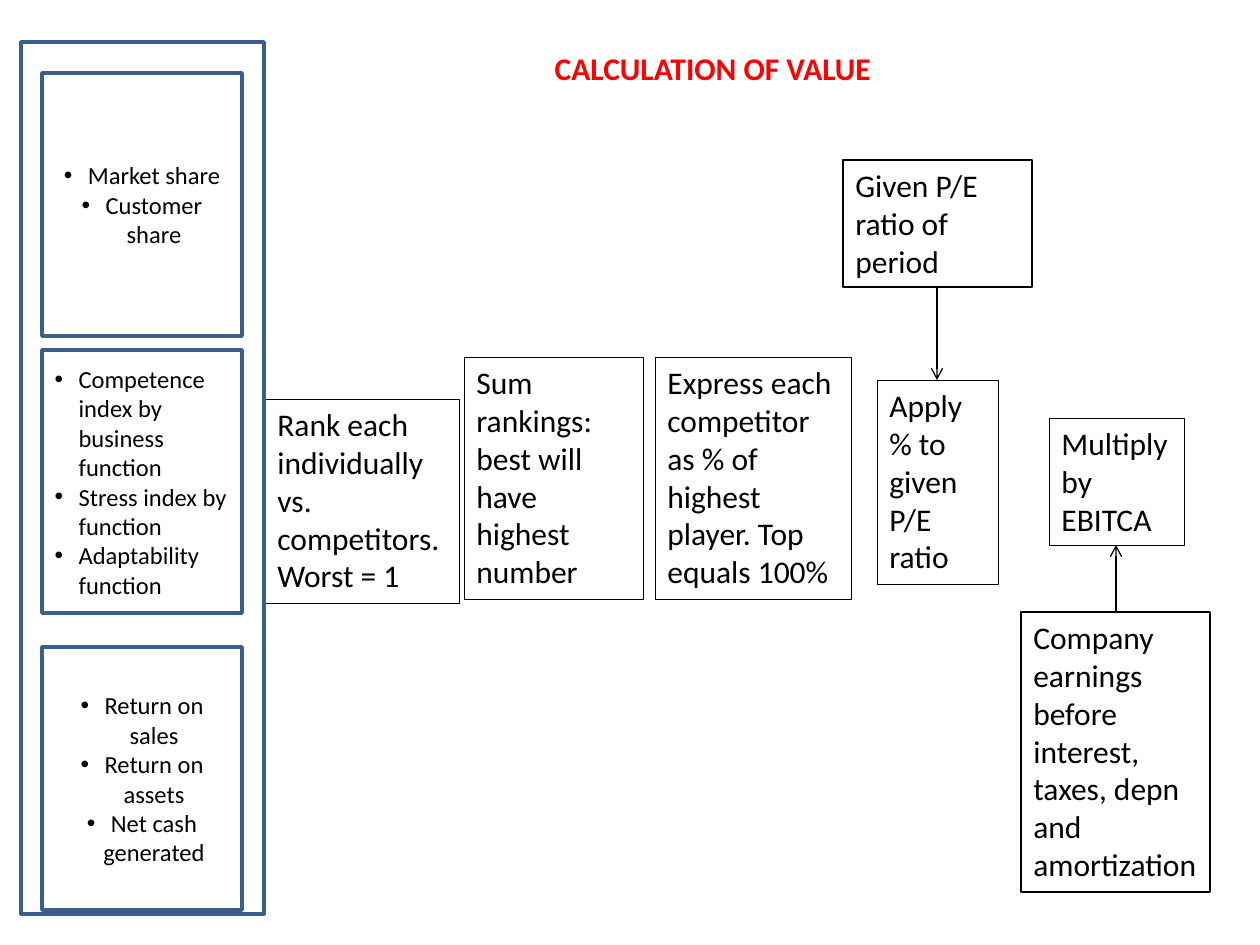
import pptx
import pptx.util
import pptx.dml.color
import pptx.enum.shapes
import pptx.enum.text
import pptx.oxml.ns
import lxml.etree
from dataclasses import dataclass

RGB = pptx.dml.color.RGBColor
Pt = pptx.util.Pt
Align = pptx.enum.text.PP_ALIGN
Anchor = pptx.enum.text.MSO_ANCHOR
Size = pptx.enum.text.MSO_AUTO_SIZE
qn = pptx.oxml.ns.qn
SCALE = 914400 / 126


def px(n):
    return round(n * SCALE)


@dataclass
class Theme:
    face: str = "Calibri"
    ink: RGB = RGB(0, 0, 0)
    blue: RGB = RGB(0x3A, 0x5F, 0x8C)
    red: RGB = RGB(0xFF, 0, 0)
    small: int = 14
    large: int = 18
    thick: float = 2
    thin: float = 0.75
    hair: float = 0.25


class Deck:
    def __init__(self, show, theme):
        self.theme = theme
        self.slide = show.slides.add_slide(show.slide_layouts[4])

    def place(self, item, x, y, w, h):
        item.left, item.top, item.width, item.height = px(x), px(y), px(w), px(h)

    def edge(self, item, color, width):
        item.line.color.rgb = color
        item.line.width = Pt(width)

    def font(self, para, size, color, bold=False):
        font = para.font
        font.name, font.size, font.bold = self.theme.face, Pt(size), bold
        font.color.rgb = color

    def title(self, text, *area):
        item = self.slide.shapes.title
        self.place(item, *area)
        frame = item.text_frame
        frame.text = text
        frame.word_wrap = False
        frame.auto_size = Size.SHAPE_TO_FIT_TEXT
        frame.vertical_anchor = Anchor.TOP
        para = frame.paragraphs[0]
        para.alignment = Align.LEFT
        self.font(para, self.theme.large, self.theme.red, True)

    def bullets(self, item, lines, align, *area):
        self.place(item, *area)
        self.edge(item, self.theme.blue, self.theme.thick)
        frame = item.text_frame
        frame.text = "\n".join(lines)
        frame.word_wrap = True
        frame.auto_size = Size.NONE
        frame.vertical_anchor = Anchor.MIDDLE
        for para in frame.paragraphs:
            para.alignment = align
            para.space_before = Pt(0)
            self.font(para, self.theme.small, self.theme.ink)
            props = para._p.get_or_add_pPr()
            props.set("marL", str(px(24)))
            props.set("indent", str(-px(24)))
            face = lxml.etree.SubElement(props, qn("a:buFont"))
            face.set("typeface", "Arial")
            mark = lxml.etree.SubElement(props, qn("a:buChar"))
            mark.set("char", "•")

    def rect(self, color, width, *area):
        kind = pptx.enum.shapes.MSO_SHAPE.RECTANGLE
        item = self.slide.shapes.add_shape(kind, 0, 0, 0, 0)
        self.place(item, *area)
        item.shadow.inherit = False
        item.fill.background()
        self.edge(item, color, width)
        return item

    def box(self, text, width, *area):
        item = self.rect(self.theme.ink, width, *area)
        frame = item.text_frame
        frame.text = text
        frame.word_wrap = True
        frame.auto_size = Size.SHAPE_TO_FIT_TEXT
        frame.vertical_anchor = Anchor.TOP
        para = frame.paragraphs[0]
        para.alignment = Align.LEFT
        self.font(para, self.theme.large, self.theme.ink)
        return item

    def arrow(self, x, start, end):
        kind = pptx.enum.shapes.MSO_CONNECTOR.STRAIGHT
        item = self.slide.shapes.add_connector(kind, px(x), px(start), px(x), px(end))
        self.edge(item, self.theme.ink, self.theme.thin)
        tail = lxml.etree.SubElement(item.line._get_or_add_ln(), qn("a:tailEnd"))
        tail.set("type", "arrow")
        lxml.etree.SubElement(item._element.spPr, qn("a:effectLst"))


theme = Theme()
show = pptx.Presentation()
show.slide_width, show.slide_height = px(1260), px(945)
deck = Deck(show, theme)

deck.title("CALCULATION OF VALUE", 542, 43, 344, 50)

lists = [
    (Align.CENTER, ["Market share", "Customer share"]),
    (Align.LEFT, ["Competence index by business function",
                  "Stress index by function", "Adaptability function"]),
    (Align.CENTER, ["Return on sales", "Return on assets", "Net cash generated"]),
]
bodies = [p for p in deck.slide.placeholders if 1 <= p.placeholder_format.idx <= 4]
for row, (body, (align, lines)) in enumerate(zip(bodies, lists)):
    deck.bullets(body, lines, align, 42, 73 + 290 * row - (13 if row == 1 else 6 * (row == 2)),
                 200, 263)
for spare in bodies[len(lists):]:
    spare._element.getparent().remove(spare._element)

steps = [
    ("Rank each individually vs. competitors. Worst = 1", theme.hair, 265, 399, 194, 204),
    ("Sum rankings: best will have highest number", theme.hair, 464, 357, 179, 242),
    ("Express each competitor as % of highest player. Top equals 100%",
     theme.hair, 655, 357, 196, 242),
    ("Apply % to given P/E ratio", theme.hair, 877, 380, 121, 204),
    ("Multiply by EBITCA", theme.hair, 1049, 418, 135, 127),
    ("Given P/E ratio of period", theme.thin, 843, 160, 189, 127),
    ("Company earnings before interest, taxes, depn and amortization",
     theme.thin, 1021, 612, 189, 280),
]
for step in steps:
    deck.box(*step)

deck.rect(theme.blue, theme.thick, 21, 42, 243, 872)
deck.arrow(1116, 612, 545)
deck.arrow(937, 287, 380)

show.save("out.pptx")
